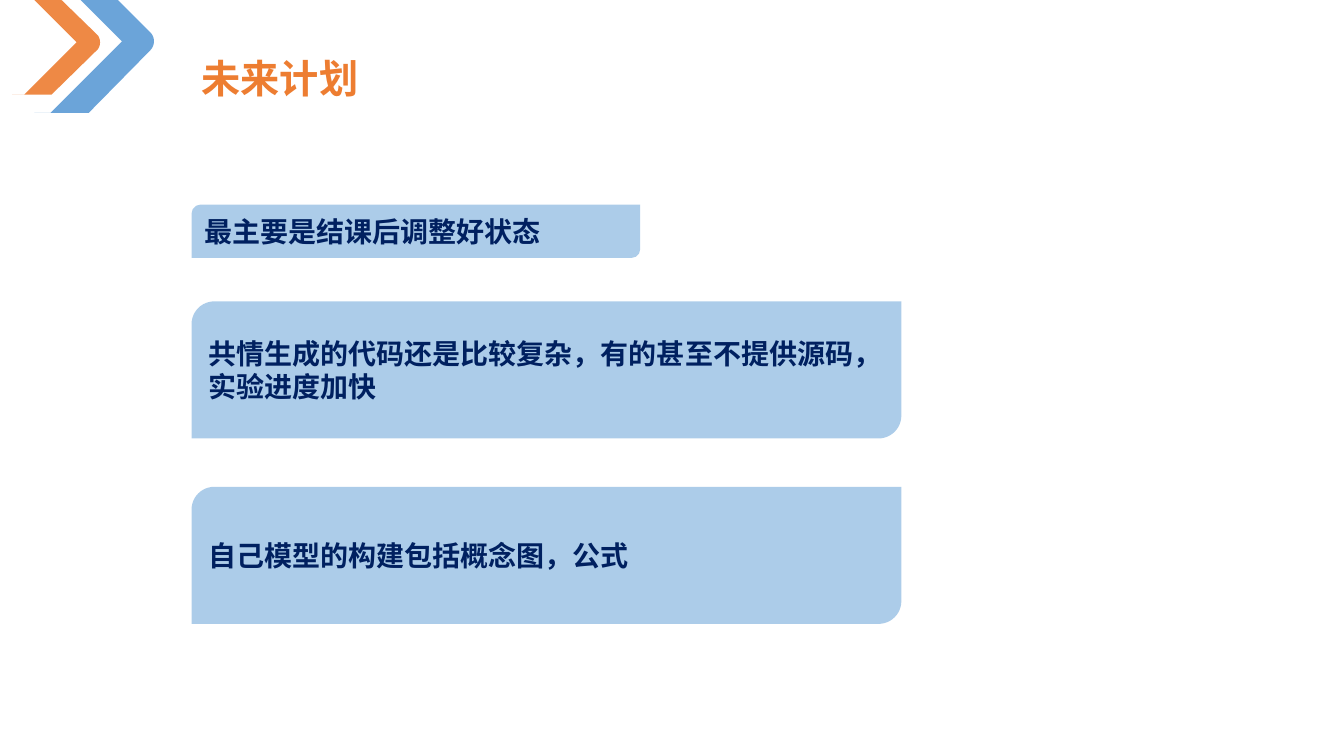
from lxml import etree
from pptx import Presentation
from pptx import util as u
from pptx.dml.color import RGBColor
from pptx.enum import shapes, text
from pptx.oxml.ns import qn

HUES = {"blue": "5B9BD5", "orange": "ED7D31", "navy": "002060"}
TITLE = "未来计划"
LEFT = 1.9
PLANS = [
    ("最主要是结课后调整好状态", 2.03, 4.45, 0.53),
    ("共情生成的代码还是比较复杂，有的甚至不提供源码，实验进度加快", 2.99, 7.04, 1.36),
    ("自己模型的构建包括概念图，公式", 4.83, 7.04, 1.36),
]
CHEVRONS = [
    ("blue", [(0.34, 1.12), (0.88, 1.12)],
     [(1.49, 0.5), (1.54, 0.45), (1.54, 0.37), (1.49, 0.32)],
     [(1.17, 0), (0.8, 0), (1.21, 0.41), (0.5, 1.12)]),
    ("orange", [(0.12, 0.94), (0.51, 0.94)],
     [(0.97, 0.49), (1, 0.45), (1, 0.39), (0.97, 0.35)],
     [(0.61, 0), (0.34, 0), (0.76, 0.42), (0.24, 0.94)]),
]
HEAD = {"size": u.Pt(28), "bold": True, "name": "Noto Sans CJK JP"}
BODY = {"size": u.Pt(20), "bold": True, "name": "Calibri"}
STEPS = 12


def write(frame, words, style, hue):
    para = frame.paragraphs[0]
    para.alignment = text.PP_ALIGN.LEFT
    run = para.add_run()
    run.text = words
    for key, value in style.items():
        setattr(run.font, key, value)
    run.font.color.rgb = RGBColor.from_string(HUES[hue])
    return run


def paint(shape, hue, alpha):
    shape.shadow.inherit = False
    shape.fill.solid()
    shape.fill.fore_color.rgb = RGBColor.from_string(HUES[hue])
    tint = shape._element.spPr.find(qn("a:solidFill"))[0]
    etree.SubElement(tint, qn("a:alpha")).set("val", str(alpha * 1000))
    shape.line.fill.background()


def curve(knots):
    for step in range(STEPS + 1):
        t = step / STEPS
        mix = ((1 - t) ** 3, 3 * t * (1 - t) ** 2, 3 * t * t * (1 - t), t ** 3)
        yield tuple(sum(m * k[axis] for m, k in zip(mix, knots)) for axis in (0, 1))


def main():
    deck = Presentation()
    deck.slide_width, deck.slide_height = u.Inches(13.33), u.Inches(7.5)
    slide = deck.slides.add_slide(deck.slide_layouts[5])

    title = slide.shapes.title
    spot = {"left": LEFT, "top": 0.49, "width": 1.77, "height": 0.57}
    for key, value in spot.items():
        setattr(title, key, u.Inches(value))
    frame = title.text_frame
    frame.word_wrap = False
    frame.auto_size = text.MSO_AUTO_SIZE.SHAPE_TO_FIT_TEXT
    frame.vertical_anchor = text.MSO_ANCHOR.TOP
    run = write(frame, TITLE, HEAD, "orange")
    east = etree.SubElement(run._r.get_or_add_rPr(), qn("a:ea"))
    east.set("typeface", HEAD["name"])

    for hue, base, knots, rest in CHEVRONS:
        dots = [(u.Inches(x), u.Inches(y)) for x, y in [*base, *curve(knots), *rest]]
        pen = slide.shapes.build_freeform(*dots[0])
        pen.add_line_segments(dots[1:], close=True)
        paint(pen.convert_to_shape(), hue, 90)

    for words, top, width, height in PLANS:
        box = slide.shapes.add_shape(
            shapes.MSO_SHAPE.ROUND_2_DIAG_RECTANGLE,
            *map(u.Inches, (LEFT, top, width, height)))
        paint(box, "blue", 50)
        box.text_frame.word_wrap = True
        box.text_frame.vertical_anchor = text.MSO_ANCHOR.MIDDLE
        write(box.text_frame, words, BODY, "navy")

    deck.save("out.pptx")


if __name__ == "__main__":
    main()
